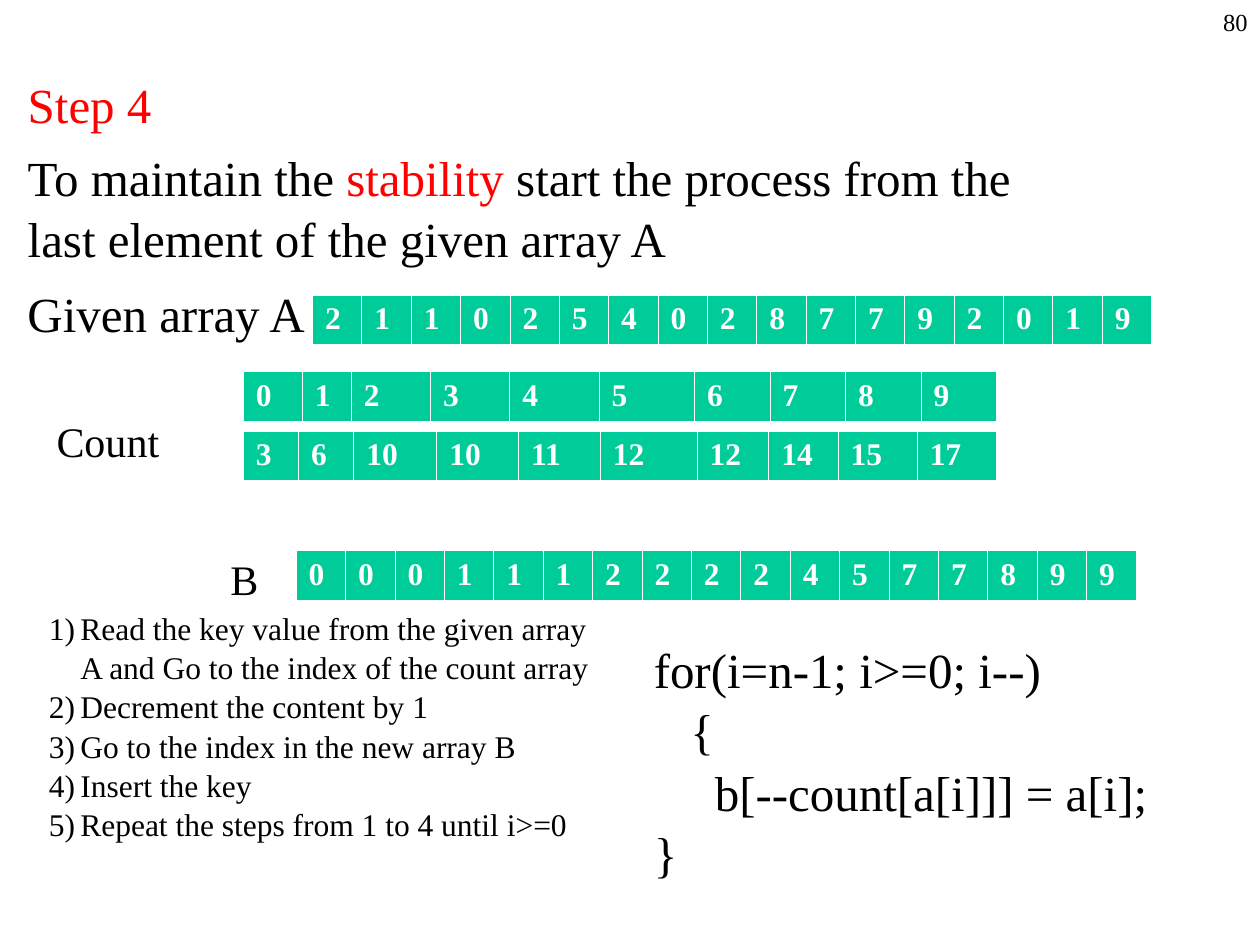
from typing import NamedTuple

from lxml import etree
from pptx import Presentation
from pptx.dml.color import RGBColor
from pptx.enum.text import MSO_ANCHOR, MSO_AUTO_SIZE, PP_ALIGN
from pptx.oxml.ns import qn
from pptx.util import Inches, Pt

LEFT, RIGHT = PP_ALIGN.LEFT, PP_ALIGN.RIGHT
TOP = MSO_ANCHOR.TOP
NO_AUTOFIT = MSO_AUTO_SIZE.NONE

BLACK = RGBColor(0x00, 0x00, 0x00)
RED = RGBColor(0xFF, 0x00, 0x00)
WHITE = RGBColor(0xFF, 0xFF, 0xFF)
GREEN = RGBColor(0x00, 0xCC, 0x99)

FONT = "Times New Roman"
GRID_COLUMNS, GRID_ROWS = 100, 75
LINE_SPACING = 1.04
BORDERS = {"lnL": 0.45, "lnR": 0.45, "lnT": 0.45, "lnB": 1.47}


class Area(NamedTuple):
    column: float
    row: float
    columns: float
    rows: float


class Label(NamedTuple):
    area: Area
    lines: list
    size: int
    align: PP_ALIGN = LEFT
    numbered: bool = False


class ArrayRow(NamedTuple):
    area: Area
    values: str
    weights: tuple = ()


LABELS = [
    Label(Area(79.2, 0, 20.8, 5), ["80"], 14, align=RIGHT),
    Label(Area(1.2, 21.8, 32.3, 5.7), ["Given array A"], 28),
    Label(Area(3.5, 32.3, 10.2, 5), ["Count"], 24),
    Label(Area(2.9, 47.7, 45.7, 19), [
        "Read the key value from the given array A and Go to the index of the count array",
        "Decrement the content by 1",
        "Go to the index in the new array B",
        "Insert the key",
        "Repeat the steps from 1 to 4 until i>=0",
    ], 18, numbered=True),
    Label(Area(50.9, 50.1, 46.5, 19.7), [
        "for(i=n-1; i>=0; i--)",
        "   {",
        "     b[--count[a[i]]] = a[i];",
        "}",
    ], 28),
    Label(Area(17.3, 43.3, 10.2, 5), ["B"], 24),
]

ARRAYS = [
    ArrayRow(Area(24.8, 23.4, 66.6, 4), "2 1 1 0 2 5 4 0 2 8 7 7 9 2 0 1 9"),
    ArrayRow(Area(19.3, 34.2, 59.8, 4), "3 6 10 10 11 12 12 14 15 17",
             (44, 44, 66, 65, 65, 77, 57, 55, 63, 63)),
    ArrayRow(Area(19.3, 29.5, 59.8, 4), "0 1 2 3 4 5 6 7 8 9",
             (47, 39, 63, 63, 71, 76, 60, 60, 60, 60)),
    ArrayRow(Area(23.5, 43.7, 66.7, 4), "0 0 0 1 1 1 2 2 2 2 4 5 7 7 8 9 9"),
]

EXPLANATION = [
    [("Step 4", RED)],
    [("To maintain the ", BLACK), ("stability", RED),
     (" start the process from the last element of the given array A", BLACK)],
]


def place(prs, area: Area) -> tuple:
    across, down = prs.slide_width / GRID_COLUMNS, prs.slide_height / GRID_ROWS
    return (round(area.column * across), round(area.row * down),
            round(area.columns * across), round(area.rows * down))


def apply(target, formats: dict) -> None:
    for name, value in formats.items():
        setattr(target, name, value)


def style_font(font, size: int, color: RGBColor, bold: bool = False) -> None:
    apply(font, {"name": FONT, "size": Pt(size), "bold": bold})
    font.color.rgb = color


def set_bullet(paragraph, numbered: bool) -> None:
    properties = paragraph._p.get_or_add_pPr()
    indent = Inches(0.25) if numbered else 0
    properties.set("marL", str(indent))
    properties.set("indent", str(-indent))
    if numbered:
        etree.SubElement(properties, qn("a:buFont"), typeface="+mj-lt")
        etree.SubElement(properties, qn("a:buAutoNum"), type="arabicParenR")
    else:
        etree.SubElement(properties, qn("a:buNone"))


def frame_format() -> dict:
    return {"word_wrap": True, "auto_size": NO_AUTOFIT, "vertical_anchor": TOP}


def paragraphs(frame, count: int) -> list:
    return [frame.paragraphs[0]] + [frame.add_paragraph() for _ in range(count - 1)]


def fill_body(prs, body) -> None:
    bounds = place(prs, Area(1.2, 5.2, 85, 59.2))
    apply(body, dict(zip(("left", "top", "width", "height"), bounds)))
    frame = body.text_frame
    apply(frame, frame_format())
    for index, paragraph in enumerate(paragraphs(frame, len(EXPLANATION))):
        set_bullet(paragraph, False)
        apply(paragraph, {"line_spacing": LINE_SPACING,
                          "space_before": Pt(7 if index else 0)})
        for text, color in EXPLANATION[index]:
            run = paragraph.add_run()
            run.text = text
            style_font(run.font, 28, color)


def add_label(prs, slide, label: Label) -> None:
    frame = slide.shapes.add_textbox(*place(prs, label.area)).text_frame
    apply(frame, frame_format())
    for paragraph, text in zip(paragraphs(frame, len(label.lines)), label.lines):
        set_bullet(paragraph, label.numbered)
        apply(paragraph, {"alignment": label.align, "line_spacing": LINE_SPACING})
        run = paragraph.add_run()
        run.text = text
        style_font(run.font, label.size, BLACK)


def add_borders(cell) -> None:
    properties = cell._tc.get_or_add_tcPr()
    for position, (side, width) in enumerate(BORDERS.items()):
        line = etree.Element(qn(f"a:{side}"), w=str(Pt(width)))
        fill = etree.SubElement(line, qn("a:solidFill"))
        etree.SubElement(fill, qn("a:srgbClr"), val=str(WHITE))
        properties.insert(position, line)


def add_array(prs, slide, array: ArrayRow) -> None:
    values = array.values.split()
    weights = array.weights or (1,) * len(values)
    bounds = place(prs, array.area)
    table = slide.shapes.add_table(1, len(values), *bounds).table
    for column, weight in zip(table.columns, weights):
        column.width = round(bounds[2] * weight / sum(weights))
    for cell, value in zip(table.iter_cells(), values):
        cell.text = value
        cell.fill.solid()
        cell.fill.fore_color.rgb = GREEN
        style_font(cell.text_frame.paragraphs[0].runs[0].font, 18, WHITE, bold=True)
        add_borders(cell)


def main() -> None:
    prs = Presentation()
    apply(prs, {"slide_width": Inches(10), "slide_height": Inches(7.5)})
    slide = prs.slides.add_slide(prs.slide_layouts[1])
    title, body = slide.placeholders
    title._element.getparent().remove(title._element)
    fill_body(prs, body)
    for array in ARRAYS:
        add_array(prs, slide, array)
    for label in LABELS:
        add_label(prs, slide, label)
    prs.save("out.pptx")


if __name__ == "__main__":
    main()
